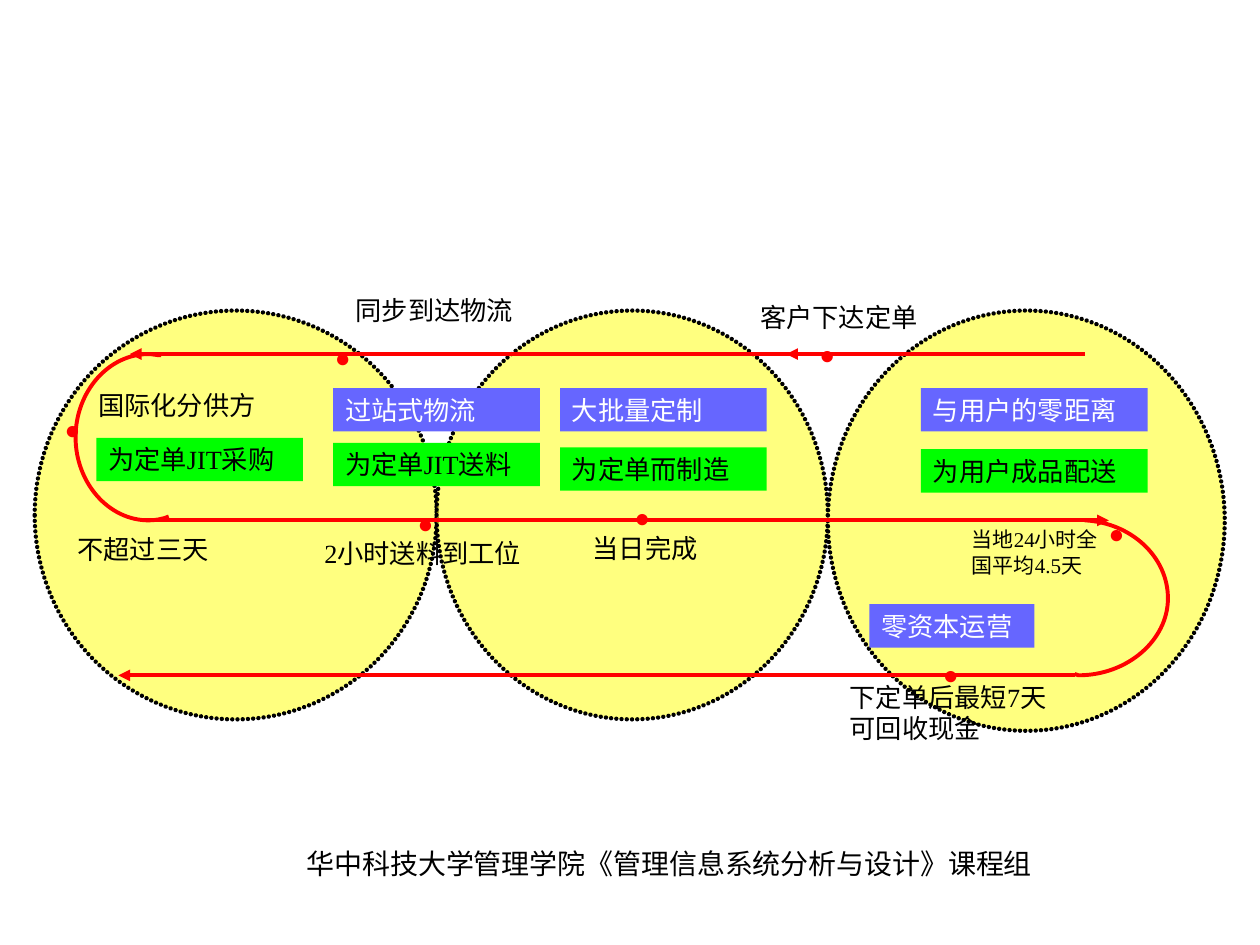
from lxml import etree
from pptx import Presentation
from pptx import util as u
from pptx.dml.color import RGBColor
from pptx.enum import shapes, text
from pptx.oxml.ns import qn

COLORS = {"yellow": "FFFF00", "red": "FF0000", "green": "00FF00",
          "blue": "6666FF", "black": "000000", "white": "FFFFFF"}
FONT = "Times New Roman"
WIDTH, HEIGHT = u.Inches(10), u.Inches(7.5)
CELL = WIDTH / 100
ROW = 3.45

CIRCLES = [(2.75, 24.65, 31.9, 32.45), (34.65, 24.65, 31.05, 32.45),
           (65.7, 24.65, 31.5, 33.35)]
FLOWS = [(85.3, 9.4, 53.6), (11.2, 88, 41.3), (86.1, 10.3, 28.1),
         (68.2, 62.4, 28.1)]
SUPPLY_BEND = [(13.4, 41), (12.9, 41.2), (12.3, 41.3), (11.8, 41.3),
               (8.6, 41.3), (6, 38.3), (6, 34.7),
               (6, 31.1), (8.6, 28.1), (11.8, 28.1),
               (12.1, 28.1), (12.4, 28.2), (12.8, 28.2)]
CASH_BEND = [(86.1, 41.3), (89.8, 41.5), (92.7, 44.2), (92.7, 47.5),
             (92.7, 50.8), (89.5, 53.6), (85.6, 53.6),
             (85.5, 53.6), (85.4, 53.6), (85.3, 53.5)]
BARS = [("为定单JIT送料", 26.45, 35.15, 16.4, "green"),
        ("过站式物流", 26.45, 30.8, 16.4, "blue"),
        ("大批量定制", 44.45, 30.8, 16.4, "blue"),
        ("为定单而制造", 44.45, 35.5, 16.4, "green"),
        ("为定单JIT采购", 7.65, 34.75, 16.4, "green"),
        ("与用户的零距离", 73.1, 30.8, 18, "blue"),
        ("为用户成品配送", 73.1, 35.65, 18, "green"),
        ("零资本运营", 69, 47.95, 13.1, "blue")]
LABELS = [("2小时送料到工位", 24.8, 42.2, 18.8, ROW, 15),
          ("当日完成", 46.1, 41.8, 11.4, ROW, 15),
          ("客户下达定单", 59.4, 23.45, 16.3, ROW, 15),
          ("同步到达物流", 27.3, 22.9, 15.6, ROW, 15),
          ("不超过三天", 5.2, 41.85, 17.2, ROW, 15),
          ("当地24小时全国平均4.5天", 76.2, 41.35, 13.1, 5, 12),
          ("下定单后最短7天可回收现金", 66.5, 53.6, 18.8, 6, 15),
          ("国际化分供方", 6.85, 30.4, 18, ROW, 15)]
DOTS = [(64.1, 26.4), (25.65, 26.6), (4.2, 32.35), (73.9, 51.75),
        (87.05, 40.55), (49.4, 39.3), (32.2, 39.8)]


def grid(*cells):
    """Convert grid cells to lengths."""
    return [u.Emu(round(c * CELL)) for c in cells]


def rgb(name):
    """Look up a colour by name."""
    return RGBColor.from_string(COLORS[name])


def write(sp, words, size, color="black", bold=False, wrap=True):
    """Fill a shape with one left-aligned paragraph."""
    tf = sp.text_frame
    tf.word_wrap = wrap
    tf.vertical_anchor = text.MSO_ANCHOR.TOP
    tf.margin_left = tf.margin_right = u.Pt(6.75)
    tf.margin_top = tf.margin_bottom = u.Pt(3.38)
    p = tf.paragraphs[0]
    p.text = words
    p.alignment = text.PP_ALIGN.LEFT
    p.font.name, p.font.size, p.font.bold = FONT, u.Pt(size), bold
    p.font.color.rgb = rgb(color)


def add_label(s, words, x, y, w, h, size, **style):
    """Add a plain text box."""
    write(s.shapes.add_textbox(*grid(x, y, w, h)), words, size, **style)


def add_bar(s, words, x, y, w, fill):
    """Add a filled caption bar."""
    sp = s.shapes.add_shape(shapes.MSO_SHAPE.RECTANGLE, *grid(x, y, w, ROW))
    sp.shadow.inherit = False
    sp.fill.solid()
    sp.fill.fore_color.rgb = rgb(fill)
    sp.line.fill.background()
    write(sp, words, 15, "white" if fill == "blue" else "black")


def add_circle(s, *box):
    """Add a half-transparent circle with a closely dotted outline."""
    sp = s.shapes.add_shape(shapes.MSO_SHAPE.OVAL, *grid(*box))
    sp.shadow.inherit = False
    sp.fill.solid()
    sp.fill.fore_color.rgb = rgb("yellow")
    tint = sp.fill._xPr.find(qn("a:solidFill"))[0]
    etree.SubElement(tint, qn("a:alpha"), val="50000")
    sp.line.color.rgb = rgb("black")
    sp.line.width = u.Pt(2.5)
    ln = sp.line._get_or_add_ln()
    ln.set("cap", "rnd")
    dash = etree.SubElement(ln, qn("a:custDash"))
    etree.SubElement(dash, qn("a:ds"), d="100000", sp="20000")


def paint_flow(line):
    """Give a line the flow colour and width."""
    line.color.rgb = rgb("red")
    line.width = u.Pt(2.25)


def add_flow(s, start, end, y):
    """Add a horizontal flow arrow."""
    sp = s.shapes.add_connector(shapes.MSO_CONNECTOR.STRAIGHT,
                                *grid(start, y, end, y))
    paint_flow(sp.line)
    etree.SubElement(sp.line._get_or_add_ln(), qn("a:tailEnd"), type="triangle")
    etree.SubElement(sp._element.spPr, qn("a:effectLst"))


def add_bend(s, knots):
    """Add an open curve through chained cubic knots."""
    builder = s.shapes.build_freeform(*grid(*knots[0]))
    builder.add_line_segments([grid(*knot) for knot in knots[1:]], close=False)
    sp = builder.convert_to_shape()
    segments = list(sp._element.iter(qn("a:lnTo")))
    outline = segments[0].getparent()
    for i in range(0, len(segments), 3):
        curve = etree.SubElement(outline, qn("a:cubicBezTo"))
        for segment in segments[i:i + 3]:
            curve.append(segment[0])
            outline.remove(segment)
    sp.shadow.inherit = False
    sp.fill.background()
    paint_flow(sp.line)


def main():
    """Build and save the order-flow slide."""
    prs = Presentation()
    prs.slide_width, prs.slide_height = WIDTH, HEIGHT
    s = prs.slides.add_slide(prs.slide_layouts[6])
    add_label(s, "华中科技大学管理学院《管理信息系统分析与设计》课程组",
              23.4, 66.7, 59.6, 3.7, 16, wrap=False)
    for circle in CIRCLES:
        add_circle(s, *circle)
    for flow in FLOWS:
        add_flow(s, *flow)
    for bend in (SUPPLY_BEND, CASH_BEND):
        add_bend(s, bend)
    for bar in BARS:
        add_bar(s, *bar)
    for x, y in DOTS:
        add_label(s, "●", x, y, 4.1, ROW, 15, color="red", bold=True)
    for label in LABELS:
        add_label(s, *label)
    prs.save("out.pptx")


if __name__ == "__main__":
    main()
